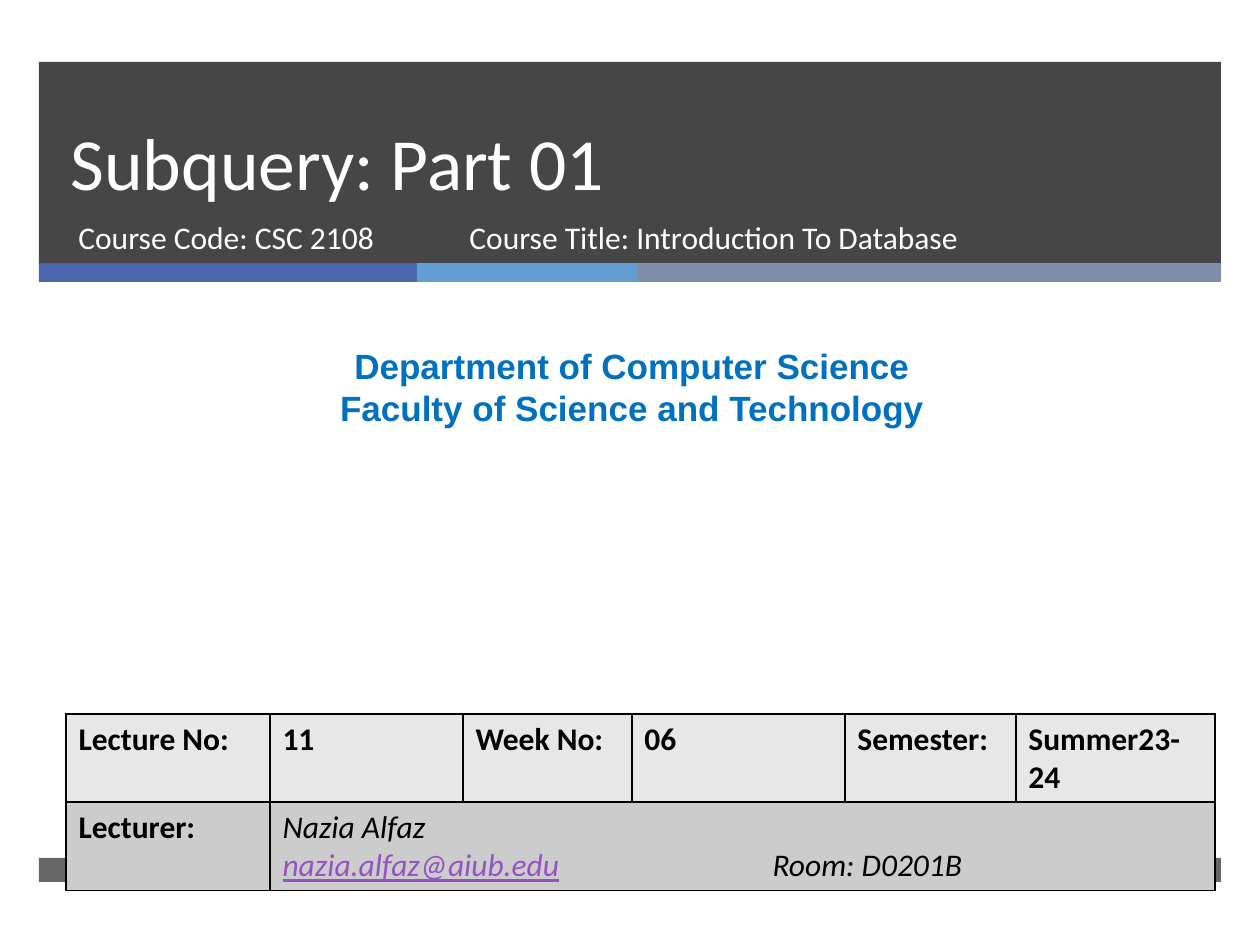
import pptx
import pptx.dml.color
import pptx.enum.shapes
import pptx.enum.text
import pptx.oxml.ns
import pptx.util
from lxml import etree

PX = 914400 / 126  # EMU in one px
COLORS = {
    "dark": "262626", "blue": "4A66AC", "sky": "629DD1", "slate": "7F8FA9",
    "white": "FFFFFF", "black": "000000", "department": "0070C0",
    "email": "9454C3", "row_light": "E7E7E7", "row_dark": "CCCCCC",
}
ALIGN = pptx.enum.text.PP_ALIGN
ANCHOR = pptx.enum.text.MSO_ANCHOR


def px(length):
    return pptx.util.Emu(round(length * PX))


def rgb(name):
    return pptx.dml.color.RGBColor.from_string(COLORS[name])


def add_xml(parent, tag, **attributes):
    return etree.SubElement(parent, pptx.oxml.ns.qn(tag), attributes)


def add_span(para, text, color, size, name="Calibri", **style):
    span = para.add_run()
    span.text = text
    values = {"size": pptx.util.Pt(size), "name": name, **style}
    for key, value in values.items():
        setattr(span.font, key, value)
    span.font.color.rgb = rgb(color)


def add_bar(page, left, top, width, height, color, opacity=100):
    bar = page.shapes.add_shape(
        pptx.enum.shapes.MSO_SHAPE.RECTANGLE, px(left), px(top), px(width), px(height))
    bar.shadow.inherit = False
    bar.fill.solid()
    bar.fill.fore_color.rgb = rgb(color)
    bar.line.fill.background()
    if opacity < 100:
        tint = bar.element.spPr.find(".//" + pptx.oxml.ns.qn("a:srgbClr"))
        add_xml(tint, "a:alpha", val=str(opacity * 1000))


def add_title(page, text):
    title = page.shapes.title
    page.shapes.element.append(title.element)  # in front of the bars
    place = {"left": 58, "top": 62, "width": 1076, "height": 150}
    for key, value in place.items():
        setattr(title, key, px(value))
    frame = title.text_frame
    frame.auto_size = pptx.enum.text.MSO_AUTO_SIZE.NONE
    frame.vertical_anchor = ANCHOR.BOTTOM
    para = frame.paragraphs[0]
    para.alignment = ALIGN.LEFT
    para.line_spacing = pptx.util.Pt(46)
    add_span(para, text, "white", 42)


def add_text(page, left, top, width, height, lines, color, size,
             align=ALIGN.LEFT, **style):
    box = page.shapes.add_textbox(px(left), px(top), px(width), px(height))
    frame = box.text_frame
    frame.word_wrap = True
    for index, line in enumerate(lines):
        para = frame.add_paragraph() if index else frame.paragraphs[0]
        para.alignment = align
        add_span(para, line, color, size, **style)


def format_cell(cell, fill):
    properties = cell._tc.get_or_add_tcPr()
    for side in "LRTB":
        border = add_xml(properties, f"a:ln{side}", w="12700")
        solid = add_xml(border, "a:solidFill")
        add_xml(solid, "a:srgbClr", val=COLORS["black"])
    cell.fill.solid()
    cell.fill.fore_color.rgb = rgb(fill)


def add_lecture_table(page):
    widths = [204, 193, 169, 213, 171, 199]
    heights = [88, 88]
    labels = [
        ["Lecture No:", "11", "Week No:", "06", "Semester:", "Summer23-24"],
        ["Lecturer:"],
    ]
    table = page.shapes.add_table(
        len(heights), len(widths), px(66), px(714), px(sum(widths)), px(sum(heights))).table
    table.first_row = table.horz_banding = False
    for column, width in zip(table.columns, widths):
        column.width = px(width)
    for row, height, fill in zip(table.rows, heights, ["row_light", "row_dark"]):
        row.height = px(height)
        for cell in row.cells:
            format_cell(cell, fill)
    for row, texts in zip(table.rows, labels):
        for cell, text in zip(row.cells, texts):
            add_span(cell.text_frame.paragraphs[0], text, "black", 18, bold=True)

    # Lecturer details, with the room at a tab stop
    details = table.cell(1, 1)
    details.merge(table.cell(1, 5))
    para = details.text_frame.paragraphs[0]
    tabs = add_xml(para._p.get_or_add_pPr(), "a:tabLst")
    add_xml(tabs, "a:tab", pos=str(px(490)), algn="l")
    plain = {"bold": False, "italic": True}
    add_span(para, "Nazia Alfaz", "black", 18, **plain)
    para.add_line_break()
    add_span(para, "nazia.alfaz@aiub.edu", "email", 18, underline=True, **plain)
    add_span(para, "\tRoom: D0201B", "black", 18, **plain)


def main():
    deck = pptx.Presentation()
    deck.slide_width, deck.slide_height = px(1260), px(945)
    page = deck.slides.add_slide(deck.slide_layouts[5])

    # Header band, its three-colour strip and the footer band
    add_bar(page, 39, 62, 1182, 202, "dark", 85)
    left = 39
    for width, color in [(378, "blue"), (221, "sky"), (583, "slate")]:
        add_bar(page, left, 263, width, 19, color)
        left += width
    add_bar(page, 39, 858, 1182, 24, "dark", 70)

    # Title and course lines
    add_title(page, "Subquery: Part 01")
    add_text(page, 66, 212, 384, 67, ["Course Code: CSC 2108"], "white", 18)
    add_text(page, 10, 338, 1244, 97,
             ["Department of Computer Science", "Faculty of Science and Technology"],
             "department", 20, ALIGN.CENTER, name="Arial", bold=True)
    add_lecture_table(page)
    add_text(page, 457, 212, 573, 67,
             ["Course Title: Introduction To Database"], "white", 18)

    deck.save("out.pptx")


if __name__ == "__main__":
    main()
